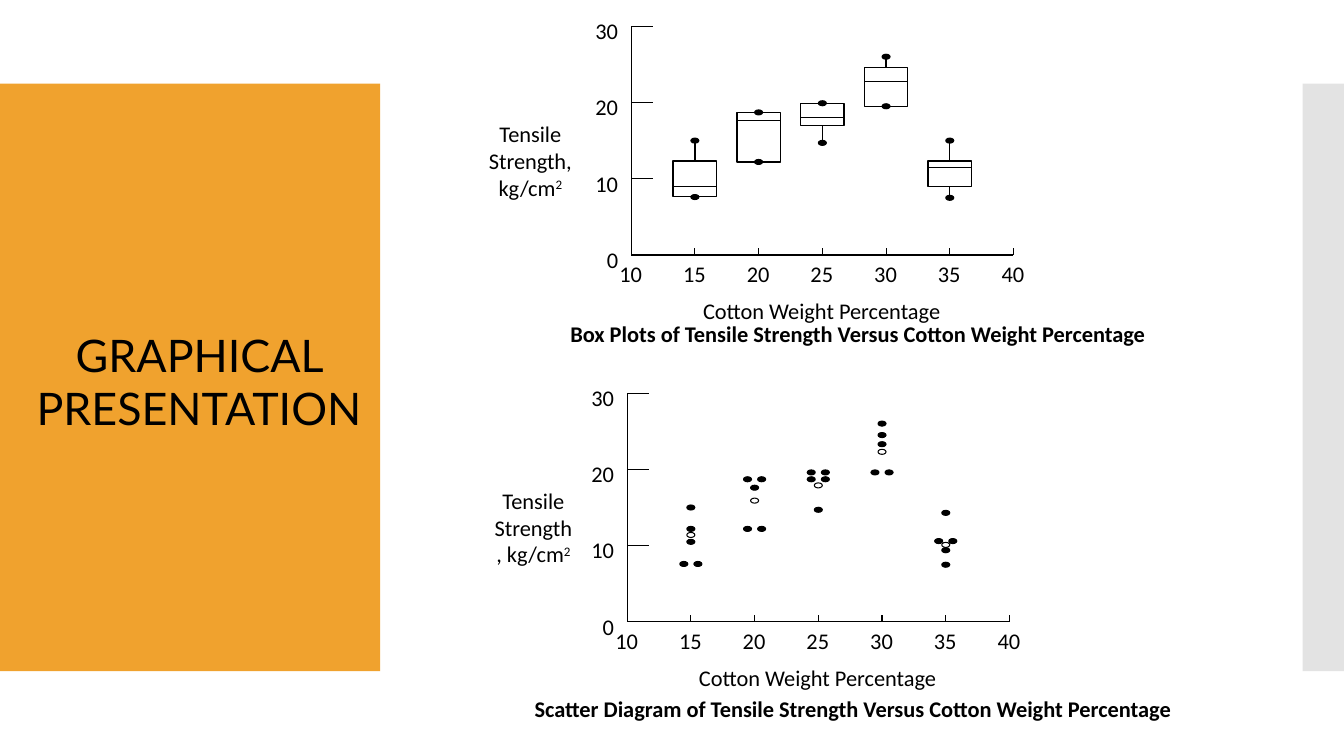
from collections import Counter

from lxml import etree
from pptx import Presentation
from pptx.dml.color import RGBColor
from pptx.enum.shapes import MSO_CONNECTOR, MSO_SHAPE
from pptx.enum.text import MSO_ANCHOR, MSO_AUTO_SIZE, PP_ALIGN
from pptx.oxml.ns import qn
from pptx.util import Inches, Pt

BLACK = RGBColor(0x00, 0x00, 0x00)
ORANGE = RGBColor(0xF0, 0xA2, 0x2E)
GREY = RGBColor(0xC8, 0xC8, 0xC8)

TITLE = "GRAPHICAL PRESENTATION"
X_TITLE = "Cotton Weight Percentage"
Y_TITLE = "Tensile Strength, kg/cm"
X_TICKS = range(10, 41, 5)
Y_TICKS = range(0, 31, 10)

# cotton percentage: (minimum, lower quartile, median, upper quartile, maximum)
BOX_PLOTS = {
    15: (7.6, 7.7, 9.0, 12.3, 15.0),
    20: (12.2, 12.2, 17.6, 18.7, 18.7),
    25: (14.7, 17.0, 18.0, 19.9, 19.9),
    30: (19.5, 19.5, 22.7, 24.6, 26.0),
    35: (7.5, 9.0, 11.5, 12.3, 15.0),
}
# cotton percentage: (observations, mean)
SCATTER = {
    15: ((7.6, 7.6, 10.5, 12.2, 15.0), 11.4),
    20: ((12.2, 12.2, 17.6, 18.7, 18.7), 15.9),
    25: ((14.7, 18.7, 18.7, 19.6, 19.6), 17.9),
    30: ((19.6, 19.6, 23.3, 24.5, 26.0), 22.3),
    35: ((7.5, 9.4, 10.6, 10.6, 14.3), 10.1),
}
# origin, y title (left, width), caption (left, top, text)
BOX_FRAME = ((6.26, 2.53), (4.79, 0.94),
             (4.4, 3.18, "Box Plots of Tensile Strength Versus Cotton Weight Percentage"))
SCATTER_FRAME = ((6.22, 6.17), (4.88, 0.82),
                 (4.35, 6.9, "Scatter Diagram of Tensile Strength Versus Cotton Weight Percentage"))

X_STEP = 0.632 / 5
Y_STEP = 2.27 / 30
BOX_WIDTH = 0.43
DOT_WIDTH, DOT_HEIGHT = 0.08, 0.05
PAIR_OFFSET = 0.07

presentation = Presentation()
presentation.slide_width = Inches(13.33)
presentation.slide_height = Inches(7.5)
slide = presentation.slides.add_slide(presentation.slide_layouts[5])


def add_shape(kind, left, top, width, height, fill=None, line_width=None):
    shape = slide.shapes.add_shape(kind, Inches(left), Inches(top), Inches(width), Inches(height))
    shape.shadow.inherit = False
    if fill is None:
        shape.fill.background()
    else:
        shape.fill.solid()
        shape.fill.fore_color.rgb = fill
    if line_width is None:
        shape.line.fill.background()
    else:
        shape.line.color.rgb = BLACK
        shape.line.width = Pt(line_width)
    return shape


def add_line(x1, y1, x2, y2, width=0.75):
    line = slide.shapes.add_connector(
        MSO_CONNECTOR.STRAIGHT, Inches(x1), Inches(y1), Inches(x2), Inches(y2))
    line.line.color.rgb = BLACK
    line.line.width = Pt(width)
    etree.SubElement(line._element.spPr, qn("a:effectLst"))


def add_run(paragraph, text, size=16, font="Calibri", bold=False):
    run = paragraph.add_run()
    run.text = text
    run.font.size = Pt(size)
    run.font.name = font
    run.font.bold = bold
    run.font.color.rgb = BLACK
    return run


def add_label(text, left, top, width, height, align=PP_ALIGN.CENTER, bold=False):
    box = slide.shapes.add_textbox(Inches(left), Inches(top), Inches(width), Inches(height))
    frame = box.text_frame
    frame.word_wrap = True
    frame.margin_left = frame.margin_right = frame.margin_top = frame.margin_bottom = 0
    paragraph = frame.paragraphs[0]
    paragraph.alignment = align
    add_run(paragraph, text, bold=bold)
    return paragraph


def add_dot(x, y, fill=BLACK):
    add_shape(MSO_SHAPE.OVAL, x - DOT_WIDTH / 2, y - DOT_HEIGHT / 2,
              DOT_WIDTH, DOT_HEIGHT, fill, 0.75)


def x_at(origin, percentage):
    return origin[0] + (percentage - X_TICKS[0]) * X_STEP


def y_at(origin, strength):
    return origin[1] - strength * Y_STEP


def draw_frame(origin, y_title, caption):
    """Draw axes, ticks, axis titles and the caption of one diagram."""
    left, base = origin
    add_line(left, y_at(origin, Y_TICKS[-1]), left, base)
    add_line(left, base, x_at(origin, X_TICKS[-1]), base)
    for percentage in X_TICKS:
        x = x_at(origin, percentage)
        if percentage > X_TICKS[0]:
            add_line(x, base, x, base - 0.07)
        add_label(str(percentage), x - 0.31, base + 0.05, 0.61, 0.32)
    for strength in Y_TICKS:
        y = y_at(origin, strength)
        if strength > 0:
            add_line(left, y, left + 0.22, y)
        add_label(str(strength), left - 0.74, y - 0.09, 0.61, 0.32, PP_ALIGN.RIGHT)
    title_left, title_width = y_title
    paragraph = add_label(Y_TITLE, title_left, base - 1.34, title_width, 0.82)
    add_run(paragraph, "2").font._element.set("baseline", "30000")
    add_label(X_TITLE, left + 0.21, base + 0.42, 3.36, 0.22)
    caption_left, caption_top, text = caption
    add_label(text, caption_left, caption_top, 8.22, 0.46, bold=True)


def draw_box_plots(origin):
    for percentage, summary in BOX_PLOTS.items():
        x = x_at(origin, percentage)
        low, lower, median, upper, high = (y_at(origin, value) for value in summary)
        box_left = x - BOX_WIDTH / 2
        add_shape(MSO_SHAPE.RECTANGLE, box_left, upper, BOX_WIDTH, lower - upper, line_width=1)
        add_line(box_left, median, box_left + BOX_WIDTH, median)
        for end, edge in ((low, lower), (high, upper)):
            if abs(end - edge) > DOT_HEIGHT:
                add_line(x, end, x, edge, 1)
            add_dot(x, end)


def draw_scatter(origin):
    """Draw observations as filled dots, equal ones side by side, and means as open dots."""
    for percentage, (observations, mean) in SCATTER.items():
        x = x_at(origin, percentage)
        for strength, count in Counter(observations).items():
            for index in range(count):
                shift = (2 * index - count + 1) * PAIR_OFFSET
                add_dot(x + shift, y_at(origin, strength))
        add_dot(x, y_at(origin, mean), fill=None)


add_shape(MSO_SHAPE.RECTANGLE, 0, 0.83, 3.77, 5.83, ORANGE)
side_band = add_shape(MSO_SHAPE.RECTANGLE, 12.92, 0.83, 0.41, 5.83, GREY)
band_color = side_band._element.spPr.find(qn("a:solidFill"))[0]
etree.SubElement(band_color, qn("a:alpha"), val="50000")

draw_frame(*BOX_FRAME)
draw_box_plots(BOX_FRAME[0])
draw_frame(*SCATTER_FRAME)
draw_scatter(SCATTER_FRAME[0])

title = slide.shapes.title
title.left, title.top = Inches(0.04), Inches(3.19)
title.width, title.height = Inches(3.87), Inches(1.18)
title.text_frame.word_wrap = True
title.text_frame.auto_size = MSO_AUTO_SIZE.NONE
title.text_frame.vertical_anchor = MSO_ANCHOR.MIDDLE
title_paragraph = title.text_frame.paragraphs[0]
title_paragraph.alignment = PP_ALIGN.CENTER
add_run(title_paragraph, TITLE, 32, "Lato")
# The title belongs in front of the orange panel.
slide.shapes._spTree.append(title._element)

presentation.save("out.pptx")
